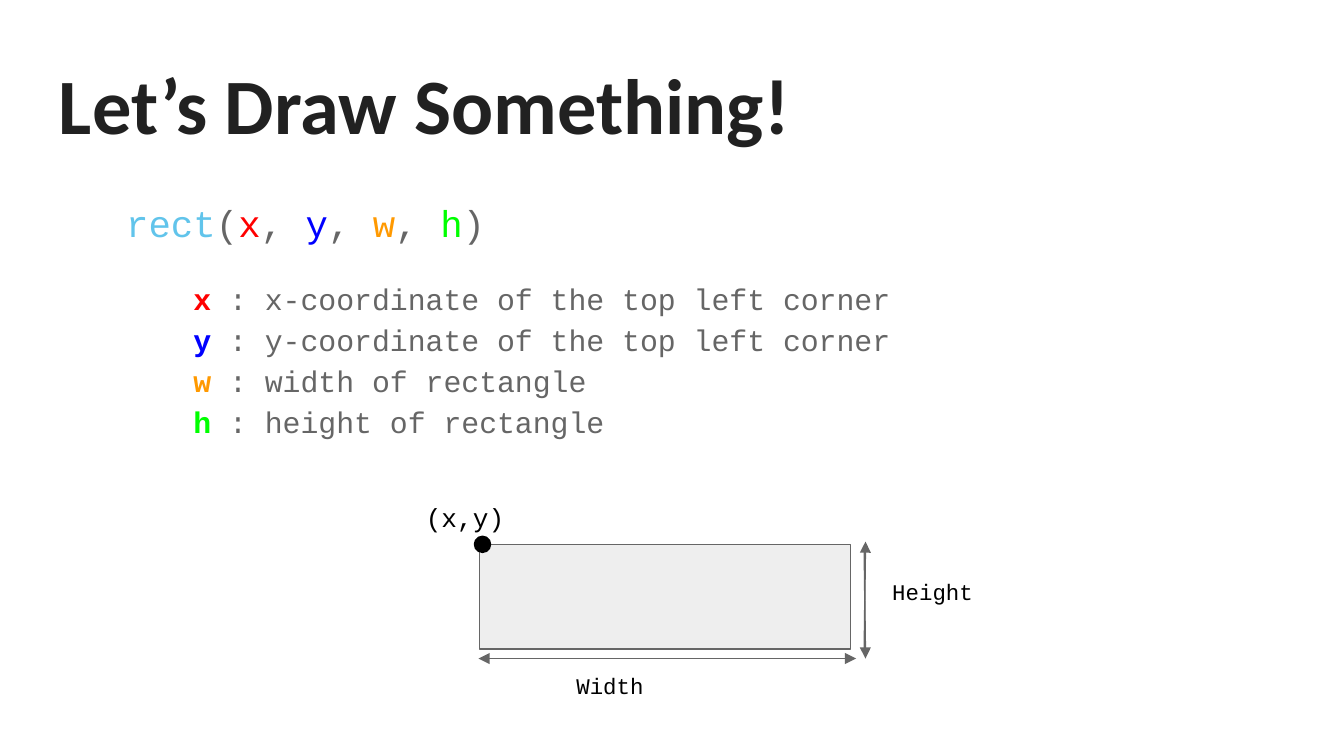
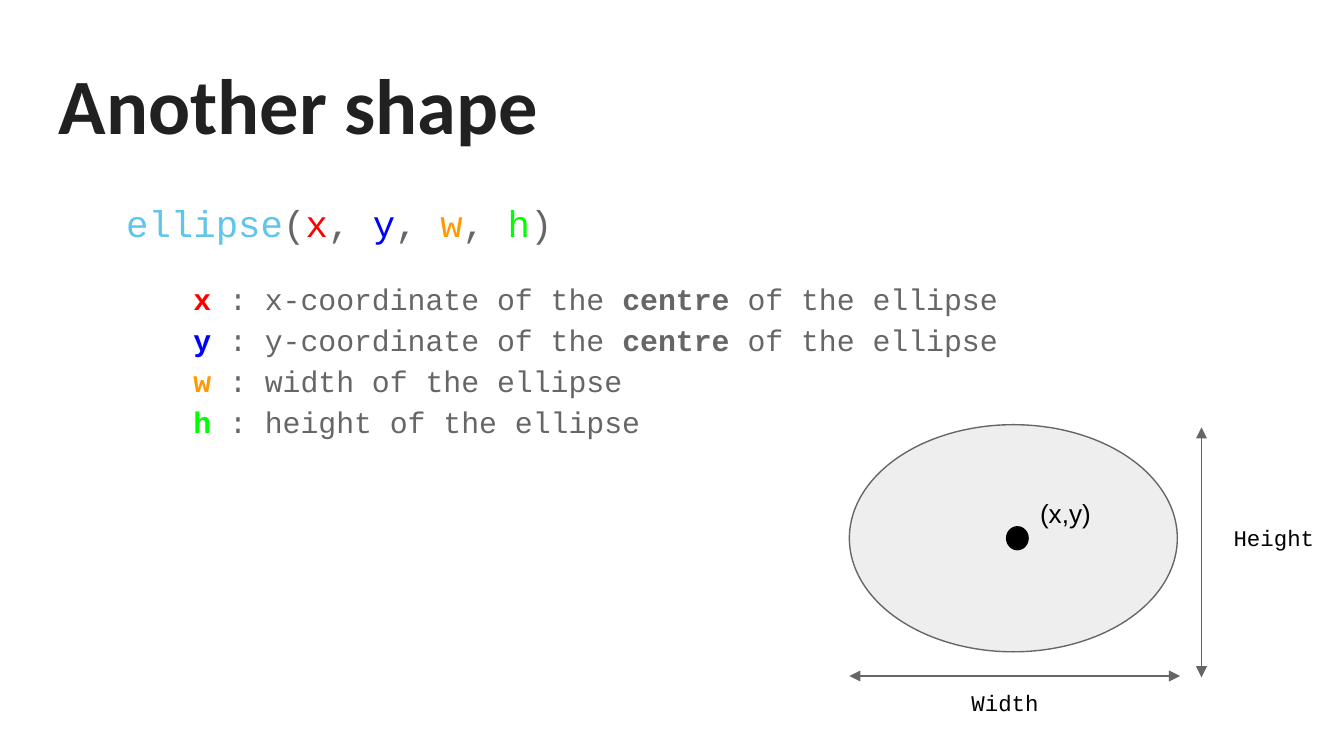
"""Build two slides that explain the rect and ellipse drawing functions."""
from dataclasses import dataclass

from lxml import etree
from pptx import Presentation
from pptx import util as u
from pptx.dml.color import RGBColor
from pptx.enum import shapes, text
from pptx.oxml import ns


@dataclass(frozen=True)
class Theme:
    title_font: str = "Calibri"
    code_font: str = "Courier New"
    plain_font: str = "Arial"
    title_size: int = 42
    call_size: int = 20
    detail_size: int = 16
    point_size: int = 14
    label_size: int = 12
    line_width: float = 0.75
    line_spacing: float = 1.15
    detail_gap: int = 16
    inset: float = 0.1
    title: str = "212121"
    function: str = "61C4EB"
    grey: str = "666666"
    black: str = "000000"
    fill: str = "EEEEEE"


THEME = Theme()
SLIDE_WIDTH = 10
SLIDE_HEIGHT = SLIDE_WIDTH * 9 / 16
ARGUMENT_COLOURS = {"x": "FF0000", "y": "0000FF", "w": "FF9900", "h": "00FF00"}
TITLE_BOX = (0.34, 0.32, 9.32, 0.88)

SLIDES = [
    {
        "title": "Let’s Draw Something!",
        "function": "rect",
        "details": {
            "x": "x-coordinate of the top left corner",
            "y": "y-coordinate of the top left corner",
            "w": "width of rectangle",
            "h": "height of rectangle",
        },
        "body_box": (0.34, 1.34, 6.92, 3.95),
        "outline": (shapes.MSO_SHAPE.RECTANGLE, (3.57, 4.05, 2.76, 0.78)),
        "point": (3.53, 3.99, 0.12, 0.12),
        "arrows": [
            (6.43, 4.09, 6.44, 4.9),
            (3.63, 4.9, 6.37, 4.9),
            (6.3, 4.9, 3.56, 4.9),
            (6.43, 4.85, 6.44, 4.03),
        ],
        "labels": [
            ("(x,y)", (3.07, 3.63, 1.16, 0.23), THEME.code_font, THEME.point_size),
            ("Width", (4.19, 4.9, 1.72, 0.6), THEME.code_font, THEME.label_size),
            ("Height", (6.54, 4.2, 1.01, 0.42), THEME.code_font, THEME.label_size),
        ],
    },
    {
        "title": "Another shape",
        "function": "ellipse",
        "details": {
            "x": "x-coordinate of the *centre *of the ellipse",
            "y": "y-coordinate of the *centre *of the ellipse",
            "w": "width of the ellipse",
            "h": "height of the ellipse",
        },
        "body_box": (0.34, 1.34, 7.26, 3.9),
        "outline": (shapes.MSO_SHAPE.OVAL, (6.32, 3.16, 2.44, 1.69)),
        "point": (7.49, 3.92, 0.16, 0.17),
        "arrows": [
            (6.35, 5.03, 8.78, 5.03),
            (8.76, 5.03, 6.32, 5.03),
            (8.94, 3.25, 8.94, 5.04),
            (8.94, 4.98, 8.94, 3.18),
        ],
        "labels": [
            ("(x,y)", (7.64, 3.6, 1.15, 0.32), THEME.plain_font, THEME.point_size),
            ("Width", (7.13, 5.03, 0.9, 0.6), THEME.code_font, THEME.label_size),
            ("Height", (9.08, 3.8, 1.01, 0.42), THEME.code_font, THEME.label_size),
        ],
    },
]


def inches(values):
    return [u.Inches(value) for value in values]


def colour(value):
    return RGBColor.from_string(value)


def add_text_frame(slide, box):
    frame = slide.shapes.add_textbox(*inches(box)).text_frame
    frame.word_wrap = True
    frame.auto_size = text.MSO_AUTO_SIZE.NONE
    frame.vertical_anchor = text.MSO_ANCHOR.TOP
    frame.margin_left = frame.margin_right = u.Inches(THEME.inset)
    frame.margin_top = frame.margin_bottom = u.Inches(THEME.inset)
    return frame


def set_font(paragraph, name, size, value):
    paragraph.font.name = name
    paragraph.font.size = u.Pt(size)
    paragraph.font.color.rgb = colour(value)


def add_label(slide, words, box, name, size, value=THEME.black, bold=False):
    paragraph = add_text_frame(slide, box).paragraphs[0]
    paragraph.add_run().text = words
    set_font(paragraph, name, size, value)
    paragraph.font.bold = bold


def add_run(paragraph, words, value=THEME.grey, bold=False):
    run = paragraph.add_run()
    run.text = words
    run.font.color.rgb = colour(value)
    run.font.bold = bold


def format_code(paragraph, indent, size):
    properties = paragraph._p.get_or_add_pPr()
    properties.set("marL", str(u.Inches(indent)))
    properties.set("indent", "0")
    paragraph.line_spacing = THEME.line_spacing
    set_font(paragraph, THEME.code_font, size, THEME.grey)


def add_body(slide, function, details, box):
    frame = add_text_frame(slide, box)
    call = frame.paragraphs[0]
    format_code(call, 0.5, THEME.call_size)
    add_run(call, function, THEME.function)
    for index, argument in enumerate(details):
        add_run(call, ", " if index else "(")
        add_run(call, argument, ARGUMENT_COLOURS[argument])
    add_run(call, ")")

    description = frame.add_paragraph()
    format_code(description, 1, THEME.detail_size)
    description.space_before = u.Pt(THEME.detail_gap)
    for index, (argument, meaning) in enumerate(details.items()):
        if index:
            description.add_line_break()
        add_run(description, f"{argument} ", ARGUMENT_COLOURS[argument], True)
        for part, words in enumerate(f": {meaning}".split("*")):
            add_run(description, words, bold=part % 2 == 1)


def add_filled_shape(slide, kind, box, fill, line):
    shape = slide.shapes.add_shape(kind, *inches(box))
    shape.shadow.inherit = False
    shape.fill.solid()
    shape.fill.fore_color.rgb = colour(fill)
    shape.line.color.rgb = colour(line)
    shape.line.width = u.Pt(THEME.line_width)


def add_arrow(slide, ends):
    arrow = slide.shapes.add_connector(shapes.MSO_CONNECTOR.STRAIGHT, *inches(ends))
    arrow.line.color.rgb = colour(THEME.grey)
    arrow.line.width = u.Pt(THEME.line_width)
    etree.SubElement(arrow.line._get_or_add_ln(), ns.qn("a:tailEnd"), type="triangle")
    etree.SubElement(arrow._element.spPr, ns.qn("a:effectLst"))


def build_slide(presentation, content):
    slide = presentation.slides.add_slide(presentation.slide_layouts[6])
    add_label(slide, content["title"], TITLE_BOX, THEME.title_font,
              THEME.title_size, THEME.title, True)
    add_body(slide, content["function"], content["details"], content["body_box"])
    kind, box = content["outline"]
    add_filled_shape(slide, kind, box, THEME.fill, THEME.grey)
    add_filled_shape(slide, shapes.MSO_SHAPE.FLOWCHART_CONNECTOR,
                     content["point"], THEME.black, THEME.black)
    for ends in content["arrows"]:
        add_arrow(slide, ends)
    for label in content["labels"]:
        add_label(slide, *label)


def main():
    presentation = Presentation()
    presentation.slide_width = u.Inches(SLIDE_WIDTH)
    presentation.slide_height = u.Inches(SLIDE_HEIGHT)
    for content in SLIDES:
        build_slide(presentation, content)
    presentation.save("out.pptx")


if __name__ == "__main__":
    main()
